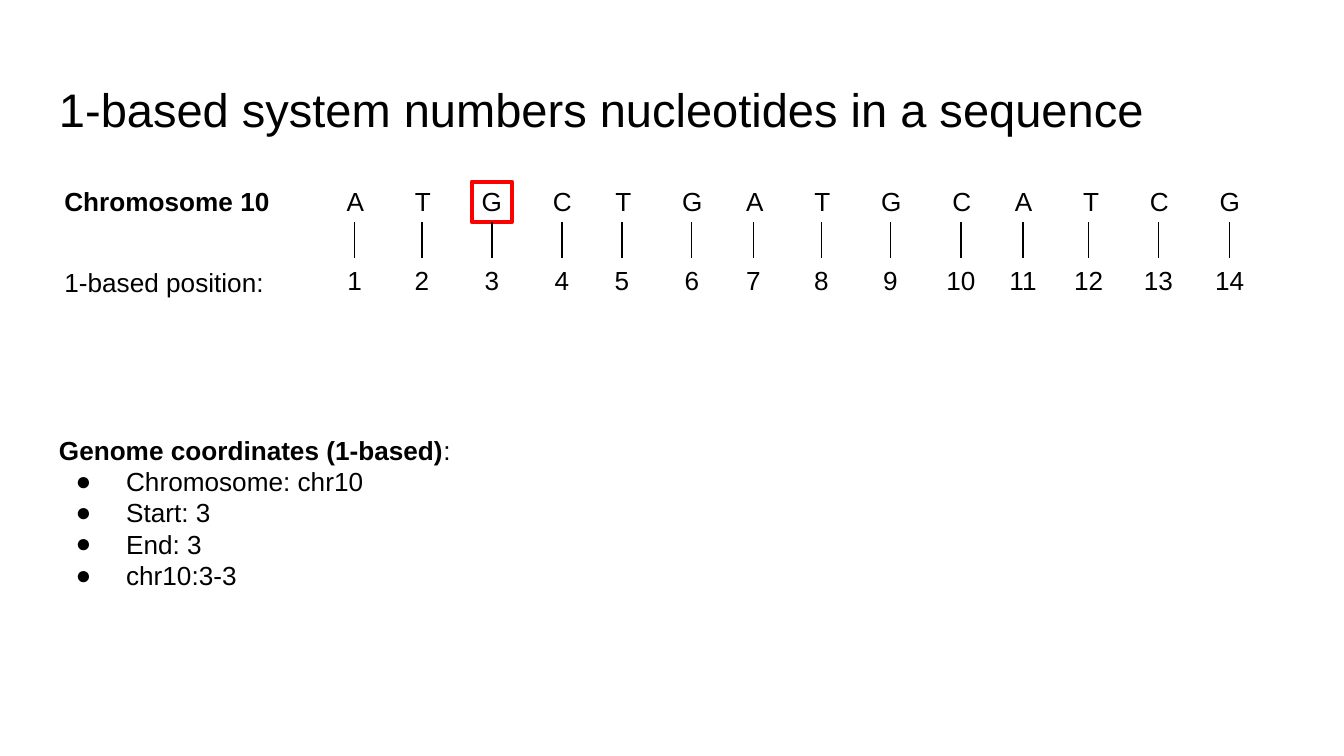
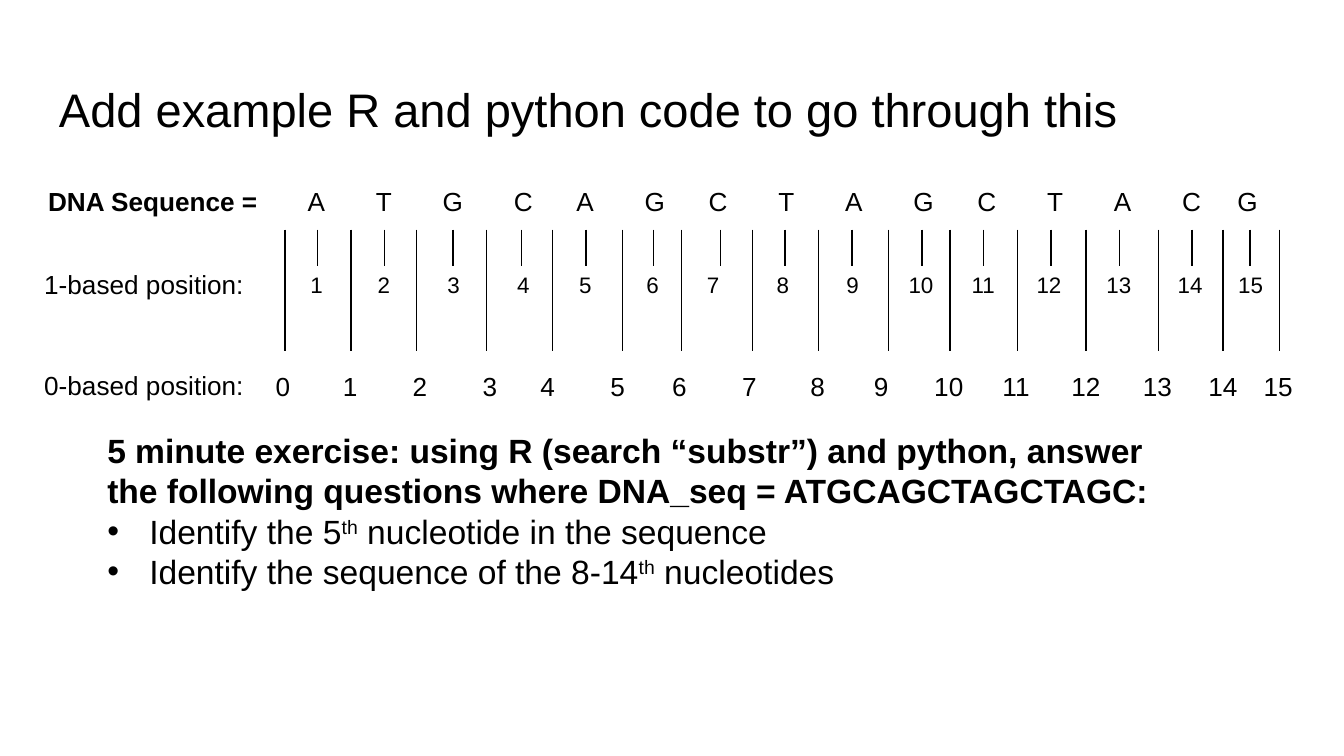
import pptx
import pptx.dml.color
import pptx.enum.shapes
import pptx.enum.text
import pptx.oxml.ns
import pptx.util
from lxml import etree

Pt = pptx.util.Pt
qn = pptx.oxml.ns.qn
ALIGN = pptx.enum.text.PP_ALIGN
COLORS = {"ink": "000000", "paper": "FFFFFF", "highlight": "FF0000"}
LETTER_WIDTHS = {"A": 0.667, "C": 0.722, "G": 0.778, "T": 0.611}
SPACE_WIDTH = 0.278
TEXT_SIZE = 14
SMALL_SIZE = 12


def rgb(name):
    return pptx.dml.color.RGBColor.from_string(COLORS[name])


class SlideWriter:
    font = "Arial"

    def __init__(self, deck):
        self.deck = deck
        self.page = None

    def new_page(self, title):
        self.page = self.deck.slides.add_slide(self.deck.slide_layouts[6])
        self.page.background.fill.solid()
        self.page.background.fill.fore_color.rgb = rgb("paper")
        frame = self.frame(24.5, 35.3, 671, 45.4, inset=7.2)
        frame.auto_size = pptx.enum.text.MSO_AUTO_SIZE.NONE
        frame.vertical_anchor = pptx.enum.text.MSO_ANCHOR.MIDDLE
        self.span(frame.paragraphs[0], title, 25.2)

    def frame(self, left, top, width, height, inset=3.6, wrap=True):
        box = self.page.shapes.add_textbox(Pt(left), Pt(top), Pt(width), Pt(height))
        frame = box.text_frame
        frame.word_wrap = wrap
        frame.auto_size = pptx.enum.text.MSO_AUTO_SIZE.SHAPE_TO_FIT_TEXT
        frame.margin_left = frame.margin_right = Pt(7.2)
        frame.margin_top = frame.margin_bottom = Pt(inset)
        return frame

    def span(self, para, text, size, bold=False, raised=False):
        span = para.add_run()
        span.text = text
        span.font.name = self.font
        span.font.size = Pt(size)
        span.font.bold = bold
        span.font.color.rgb = rgb("ink")
        if raised:
            span._r.get_or_add_rPr().set("baseline", "30000")

    def row_label(self, left, top, text, bold=False):
        frame = self.frame(left, top, 126.7, 31.7, inset=7.2)
        self.span(frame.paragraphs[0], text, TEXT_SIZE, bold)

    def sequence(self, left, width, letters, gaps):
        para = self.frame(left, 92.2, width, 31.7, inset=7.2).paragraphs[0]
        tabs = etree.SubElement(para._p.get_or_add_pPr(), qn("a:tabLst"))
        offset = 0
        for letter, spaces in zip(letters, gaps):
            offset += TEXT_SIZE * (LETTER_WIDTHS[letter] + SPACE_WIDTH * spaces)
            etree.SubElement(tabs, qn("a:tab"), pos=str(int(Pt(offset))), algn="l")
        self.span(para, "\t".join(letters), TEXT_SIZE)

    def numbers(self, centers, top, first, size):
        for number, center in enumerate(centers, first):
            width = 14.4 + 0.56 * size * len(str(number))
            frame = self.frame(center - width / 2, top, width, 7.2 + 1.2 * size, wrap=False)
            frame.paragraphs[0].alignment = ALIGN.CENTER
            self.span(frame.paragraphs[0], str(number), size)

    def ticks(self, centers, top, bottom):
        return [self.tick(center, top, bottom) for center in centers]

    def tick(self, center, top, bottom):
        line = self.page.shapes.add_connector(
            pptx.enum.shapes.MSO_CONNECTOR.STRAIGHT,
            Pt(center), Pt(top), Pt(center), Pt(bottom))
        line.line.color.rgb = rgb("ink")
        line.line.width = Pt(0.75)
        etree.SubElement(line._element.spPr, qn("a:effectLst"))
        return line

    def highlight(self, center, bottom, side):
        box = self.page.shapes.add_shape(
            pptx.enum.shapes.MSO_SHAPE.RECTANGLE,
            Pt(center - side / 2), Pt(bottom - side), Pt(side), Pt(side))
        box.shadow.inherit = False
        box.fill.background()
        box.line.color.rgb = rgb("highlight")
        box.line.width = Pt(2.25)
        return box

    def bullet_list(self, place, size, heading, items, bullet, indent, hanging):
        frame = self.frame(*place)
        for text, bold in heading:
            self.span(frame.paragraphs[0], text, size, bold)
        for item in items:
            para = frame.add_paragraph()
            properties = para._p.get_or_add_pPr()
            properties.set("marL", str(int(Pt(indent))))
            properties.set("indent", str(-int(Pt(hanging))))
            color = etree.SubElement(properties, qn("a:buClr"))
            etree.SubElement(color, qn("a:srgbClr"), val=COLORS["ink"])
            etree.SubElement(properties, qn("a:buFont"), typeface=self.font)
            etree.SubElement(properties, qn("a:buChar"), char=bullet)
            for text, raised in item:
                self.span(para, text, size, raised=raised)


def one_based_page(writer):
    centers = [190, 226, 263.5, 301, 333.2, 370.6, 403.6, 440,
               477, 514.8, 548, 583.2, 620.6, 658.8]
    writer.new_page("1-based system numbers nucleotides in a sequence")
    writer.sequence(178.6, 496.8, "ATGCTGATGCATCG",
                    [7, 7, 7, 6, 7, 6, 7, 7, 7, 6, 7, 7, 7])
    writer.row_label(27.4, 92.2, "Chromosome 10", bold=True)
    writer.bullet_list(
        (24.5, 229, 360, 92.2), TEXT_SIZE,
        [("Genome coordinates (1-based)", True), (":", False)],
        [[(text, False)] for text in
         ("Chromosome: chr10", "Start: 3", "End: 3", "chr10:3-3")],
        "●", 36, 27)
    box = writer.highlight(centers[2], 119, 21.6)
    ticks = writer.ticks(centers, 119, 138.2)
    ticks[2].begin_connect(box, 2)
    writer.row_label(27.4, 135.4, "1-based position:")
    writer.numbers(centers, 138.2, 1, TEXT_SIZE)


def exercise_page(writer):
    base_ticks = [170, 206, 242.6, 279.4, 314, 350, 386, 420.5,
                  456.5, 494, 527, 563, 599.8, 638.6, 669.6]
    base_numbers = [169.6, 205.6, 243, 280.4, 313.6, 349.6, 382, 419.4,
                    456.8, 493.4, 526.7, 562, 599.4, 637.6, 670]
    edge_ticks = [152.6, 188, 223.2, 260.6, 296, 333.4, 365, 403.2,
                  438.5, 476, 509, 545, 581.8, 620.6, 655.2, 685.4]
    edge_numbers = [151.6, 187.6, 225, 262.4, 293.4, 330.8, 364, 401.4,
                    438, 472, 508.3, 544.3, 581.8, 620, 655.2, 684.7]
    writer.new_page("Add example R and python code to go through this")
    writer.sequence(157.7, 524.9, "ATGCAGCTAGCTACG",
                    [7, 7, 7, 6, 7, 6, 7, 7, 7, 6, 7, 7, 7, 5])
    writer.row_label(18.7, 92.2, "DNA Sequence =", bold=True)
    writer.ticks(base_ticks, 123.1, 142.6)
    writer.row_label(16.6, 136.8, "1-based position:")
    writer.ticks(edge_ticks, 123.1, 187.9)
    writer.row_label(16.6, 190.8, "0-based position:")
    writer.bullet_list(
        (50.4, 226.8, 592.6, 94.3), 18,
        [("5 minute exercise: using R (search “substr”) and python, answer "
          "the following questions where DNA_seq = ATGCAGCTAGCTAGC:", True)],
        [[("Identify the 5", False), ("th", True),
          (" nucleotide in the sequence", False)],
         [("Identify the sequence of the 8-14", False), ("th", True),
          (" nucleotides", False)]],
        "•", 22.5, 22.5)
    writer.numbers(base_numbers, 141.8, 1, SMALL_SIZE)
    writer.numbers(edge_numbers, 195.1, 0, TEXT_SIZE)


def main():
    deck = pptx.Presentation()
    deck.slide_width = Pt(720)
    deck.slide_height = Pt(405)
    writer = SlideWriter(deck)
    one_based_page(writer)
    exercise_page(writer)
    deck.save("out.pptx")


if __name__ == "__main__":
    main()
